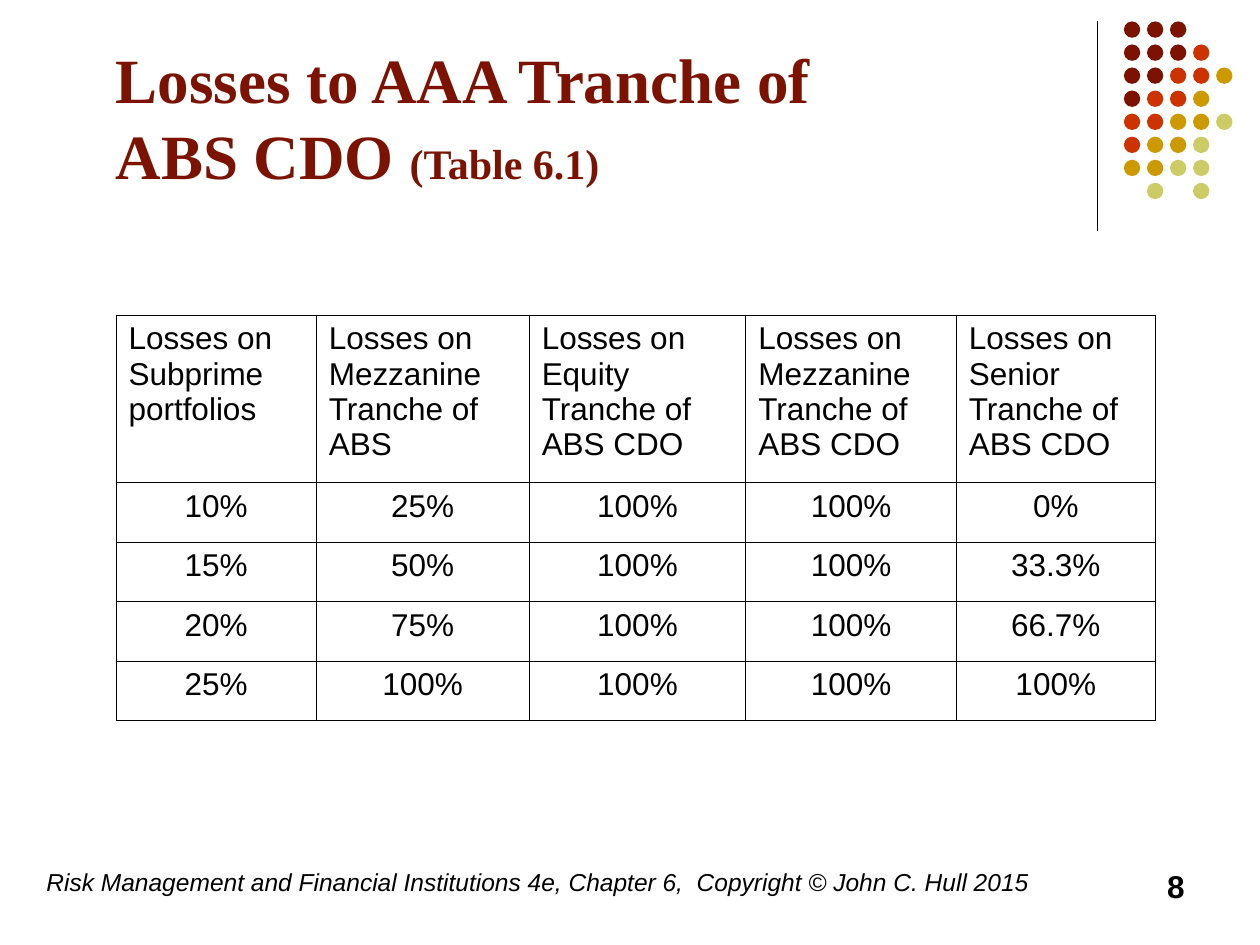
"""Build the slide on losses to the AAA tranche of an ABS CDO."""
from lxml.etree import SubElement
from pptx import Presentation
from pptx.dml.color import RGBColor
from pptx.enum.shapes import MSO_CONNECTOR, MSO_SHAPE
from pptx.enum.text import MSO_ANCHOR, PP_ALIGN
from pptx.oxml.ns import qn
from pptx.util import Inches, Pt


def grid(*cells):
    """Turn counts of tenth-inch grid cells into lengths."""
    return [Inches(cell / 10) for cell in cells]


def style(span, font_name, size, color, bold=False, italic=False):
    """Set the typeface of one run."""
    span.font.name = font_name
    span.font.size = Pt(size)
    span.font.bold = bold
    span.font.italic = italic
    span.font.color.rgb = RGBColor.from_string(color)


deck = Presentation()
deck.slide_width, deck.slide_height = grid(100, 75)
page = deck.slides.add_slide(deck.slide_layouts[6])

divider = page.shapes.add_connector(MSO_CONNECTOR.STRAIGHT, *grid(87.1, 1.7, 87.1, 18.3))
divider.line.color.rgb = RGBColor.from_string("000000")
divider.line.width = Pt(0.75)
SubElement(divider._element.spPr, qn("a:effectLst"))

dot_colors = {"M": "7C1302", "R": "CC3300", "G": "CC9900", "L": "CCCC66"}
dot_rows = ["MMM", "MMMR", "MMRRG", "MRRG", "RRGGL", "RGGL", "GGLL", " L L"]
dot_pitch = 1.83
dots = page.shapes.add_group_shape()
for row, pattern in enumerate(dot_rows):
    for column, key in enumerate(pattern):
        if key in dot_colors:
            left, top = 89.2 + column * dot_pitch, 1.7 + row * dot_pitch
            dot = dots.shapes.add_shape(MSO_SHAPE.OVAL, *grid(left, top, 1.3, 1.3))
            dot.shadow.inherit = False
            dot.fill.solid()
            dot.fill.fore_color.rgb = RGBColor.from_string(dot_colors[key])
            dot.line.fill.background()

text_boxes = [
    ((8.2, 5.5, 67.6, 10.2), MSO_ANCHOR.BOTTOM, PP_ALIGN.LEFT, [
        ("Losses to AAA Tranche of ABS CDO ", ("Times New Roman", 36, "7C1302", True)),
        ("(Table 6.1)", ("Times New Roman", 24, "7C1302", True))]),
    ((71.7, 68.3, 23.3, 5), MSO_ANCHOR.TOP, PP_ALIGN.RIGHT, [
        ("8", ("Arial", 18, "000000", True))]),
    ((2.7, 68.3, 82.7, 5), MSO_ANCHOR.TOP, PP_ALIGN.LEFT, [
        ("Risk Management and Financial Institutions 4e, Chapter 6,  "
         "Copyright © John C. Hull 2015", ("Arial", 14, "000000", False, True))]),
]
for area, anchor, alignment, spans in text_boxes:
    box = page.shapes.add_textbox(*grid(*area))
    box.text_frame.word_wrap = True
    box.text_frame.vertical_anchor = anchor
    para = box.text_frame.paragraphs[0]
    para.alignment = alignment
    for text, look in spans:
        span = para.add_run()
        span.text = text
        style(span, *look)

losses = [
    ["Losses on Subprime portfolios", "Losses on Mezzanine Tranche of ABS",
     "Losses on Equity Tranche of ABS CDO", "Losses on Mezzanine Tranche of ABS CDO",
     "Losses on Senior Tranche of ABS CDO"],
    ["10%", "25%", "100%", "100%", "0%"],
    ["15%", "50%", "100%", "100%", "33.3%"],
    ["20%", "75%", "100%", "100%", "66.7%"],
    ["25%", "100%", "100%", "100%", "100%"],
]
column_widths = grid(15.9, 16.9, 17.2, 16.7, 15.8)
row_heights = grid(13.3, *[4.72] * 4)
table = page.shapes.add_table(5, 5, *grid(9.2, 25), sum(column_widths), sum(row_heights)).table
table.first_row = table.horz_banding = False
for column, width in zip(table.columns, column_widths):
    column.width = width
for row, height in zip(table.rows, row_heights):
    row.height = height

for row, texts in enumerate(losses):
    for column, text in enumerate(texts):
        cell = table.cell(row, column)
        para = cell.text_frame.paragraphs[0]
        para.text = text
        para.alignment = PP_ALIGN.CENTER if row else PP_ALIGN.LEFT
        style(para.runs[0], "Arial", 18, "000000")
        properties = cell._tc.get_or_add_tcPr()
        for side in ("a:lnL", "a:lnR", "a:lnT", "a:lnB"):
            border = SubElement(properties, qn(side), w=str(Pt(0.45)))
            SubElement(SubElement(border, qn("a:solidFill")), qn("a:srgbClr"), val="000000")
        cell.fill.background()

deck.save("out.pptx")
